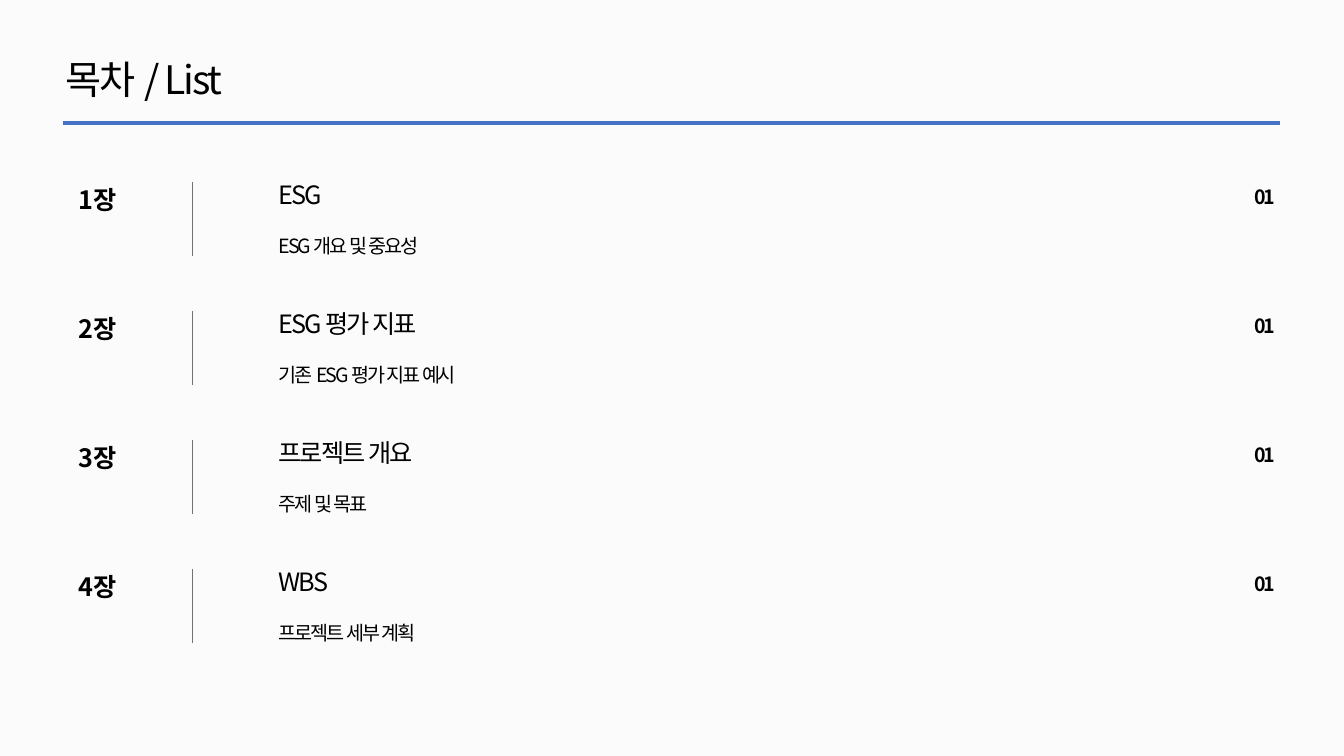
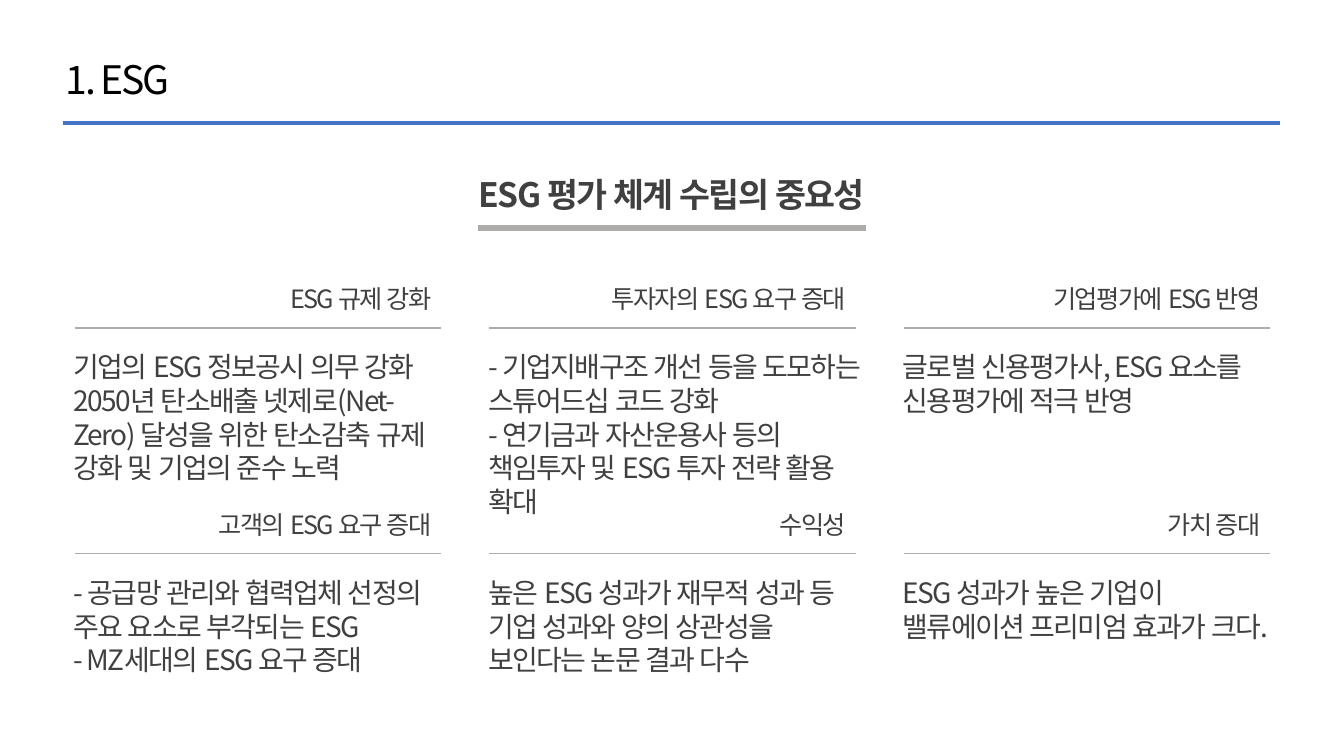
"""Build the contents slide and the ESG importance slide."""
from dataclasses import dataclass

from lxml.etree import SubElement
from pptx import Presentation
from pptx.dml.color import RGBColor
from pptx.enum.shapes import MSO_CONNECTOR
from pptx.enum.text import MSO_ANCHOR, MSO_AUTO_SIZE, PP_ALIGN
from pptx.oxml.ns import qn
from pptx.presentation import Presentation as Deck
from pptx.slide import Slide
from pptx.text.text import TextFrame
from pptx.util import Cm, Pt

FONT = "Noto Sans CJK KR"
COLORS = {
    "paper": "FBFBFB",
    "white": "FFFFFF",
    "black": "000000",
    "dark": "404040",
    "accent": "4472C4",
    "divider": "767171",
    "rule": "AFABAB",
}
LINE_HEIGHT = 1.2


@dataclass(frozen=True)
class TextStyle:
    size: int
    color: str = "black"
    bold: bool = False
    align: PP_ALIGN = PP_ALIGN.LEFT
    spacing: float = -1.5


@dataclass(frozen=True)
class Box:
    left: float
    top: float
    width: float
    height: float


@dataclass(frozen=True)
class Chapter:
    number: str
    name: str
    summary: str
    page: str = "01"


@dataclass(frozen=True)
class Reason:
    heading: str
    body: str
    body_width: float = 9.75


TITLE = TextStyle(28)
CHAPTER_NUMBER = TextStyle(18, bold=True)
CHAPTER_NAME = TextStyle(18)
CHAPTER_SUMMARY = TextStyle(14)
PAGE_NUMBER = TextStyle(14, bold=True, align=PP_ALIGN.RIGHT)
SECTION = TextStyle(24, "dark", True, PP_ALIGN.CENTER, -1.2)
REASON_HEADING = TextStyle(18, "dark", align=PP_ALIGN.RIGHT, spacing=-1.2)
REASON_BODY = TextStyle(20, "dark", spacing=-1.2)

CHAPTERS = [
    Chapter("1장", "ESG", "ESG 개요 및 중요성"),
    Chapter("2장", "ESG 평가 지표", "기존 ESG 평가 지표 예시"),
    Chapter("3장", "프로젝트 개요", "주제 및 목표"),
    Chapter("4장", "WBS", "프로젝트 세부 계획"),
]
CHAPTER_TOP, CHAPTER_PITCH = 4.39, 3.25

REASONS = [
    Reason(
        "ESG 규제 강화",
        "기업의 ESG 정보공시 의무 강화\n"
        "2050년 탄소배출 넷제로(Net-Zero) 달성을 위한 탄소감축 규제 강화 및 기업의 준수 노력",
    ),
    Reason(
        "투자자의 ESG 요구 증대",
        "- 기업지배구조 개선 등을 도모하는\n스튜어드십 코드 강화\n"
        "- 연기금과 자산운용사 등의 책임투자 및 ESG 투자 전략 활용 확대",
        10.44,
    ),
    Reason("기업평가에 ESG 반영", "글로벌 신용평가사, ESG 요소를\n신용평가에 적극 반영"),
    Reason(
        "고객의 ESG 요구 증대",
        "- 공급망 관리와 협력업체 선정의 주요 요소로 부각되는 ESG\n- MZ세대의 ESG 요구 증대",
    ),
    Reason("수익성", "높은 ESG 성과가 재무적 성과 등\n기업 성과와 양의 상관성을 보인다는 논문 결과 다수"),
    Reason("가치 증대", "ESG 성과가 높은 기업이\n밸류에이션 프리미엄 효과가 크다."),
]
REASON_COLUMNS = 3
REASON_LEFT, REASON_PITCH_X, REASON_WIDTH = 1.88, 10.45, 9.23
REASON_TOP, REASON_PITCH_Y = 8.26, 5.69


def write(frame: TextFrame, text: str, style: TextStyle) -> None:
    frame.text = text
    frame.word_wrap = True
    frame.auto_size = MSO_AUTO_SIZE.NONE
    frame.vertical_anchor = MSO_ANCHOR.TOP
    for paragraph in frame.paragraphs:
        paragraph.alignment = style.align
        paragraph.line_spacing = Pt(style.size * LINE_HEIGHT)
        for run in paragraph.runs:
            run.font.size = Pt(style.size)
            run.font.bold = style.bold
            run.font.color.rgb = RGBColor.from_string(COLORS[style.color])
            run.font.name = FONT
            properties = run._r.get_or_add_rPr()
            properties.set("lang", "ko-KR")
            properties.set("spc", str(round(style.spacing * 100)))
            SubElement(properties, qn("a:ea")).set("typeface", FONT)


def add_text(slide: Slide, box: Box, text: str, style: TextStyle) -> None:
    label = slide.shapes.add_textbox(
        Cm(box.left), Cm(box.top), Cm(box.width), Cm(box.height)
    )
    write(label.text_frame, text, style)


def add_line(
    slide: Slide, left: float, top: float, right: float, bottom: float,
    color: str, weight: float,
) -> None:
    rule = slide.shapes.add_connector(
        MSO_CONNECTOR.STRAIGHT, Cm(left), Cm(top), Cm(right), Cm(bottom)
    )
    rule.line.color.rgb = RGBColor.from_string(COLORS[color])
    rule.line.width = Pt(weight)
    SubElement(rule._element.spPr, qn("a:effectLst"))


def add_titled_slide(deck: Deck, title: str, background: str) -> Slide:
    slide = deck.slides.add_slide(deck.slide_layouts.get_by_name("Title Only"))
    slide.background.fill.solid()
    slide.background.fill.fore_color.rgb = RGBColor.from_string(COLORS[background])
    heading = slide.shapes.title
    heading.left, heading.top = Cm(1.4), Cm(1.27)
    heading.width, heading.height = Cm(24.87), Cm(1.45)
    write(heading.text_frame, title, TITLE)
    add_line(slide, 1.6, 3.1, 32.26, 3.1, "accent", 3)
    return slide


def add_chapter(slide: Slide, chapter: Chapter, top: float) -> None:
    add_text(slide, Box(1.73, top + 0.14, 9.09, 1.02), chapter.number, CHAPTER_NUMBER)
    add_text(slide, Box(6.78, top, 9.09, 1.02), chapter.name, CHAPTER_NAME)
    add_text(slide, Box(6.78, top + 1.38, 22, 0.86), chapter.summary, CHAPTER_SUMMARY)
    add_text(slide, Box(28.45, top + 0.14, 3.94, 0.86), chapter.page, PAGE_NUMBER)
    add_line(slide, 4.85, top + 0.2, 4.85, top + 2.06, "divider", 0.5)


def add_reason(slide: Slide, reason: Reason, left: float, top: float) -> None:
    add_line(slide, left, top, left + REASON_WIDTH, top, "rule", 1.25)
    add_text(slide, Box(left + 1.26, top - 1.24, 7.98, 1.02), reason.heading, REASON_HEADING)
    add_text(slide, Box(left - 0.28, top + 0.43, reason.body_width, 3.68), reason.body, REASON_BODY)


def build_contents(deck: Deck) -> None:
    slide = add_titled_slide(deck, "목차 / List", "paper")
    for index, chapter in enumerate(CHAPTERS):
        add_chapter(slide, chapter, CHAPTER_TOP + index * CHAPTER_PITCH)


def build_importance(deck: Deck) -> None:
    slide = add_titled_slide(deck, "1. ESG", "white")
    for index, reason in enumerate(REASONS):
        row, column = divmod(index, REASON_COLUMNS)
        add_reason(
            slide, reason,
            REASON_LEFT + column * REASON_PITCH_X,
            REASON_TOP + row * REASON_PITCH_Y,
        )
    add_text(slide, Box(9.63, 4.27, 14.6, 1.27), "ESG 평가 체계 수립의 중요성", SECTION)
    add_line(slide, 12.04, 5.74, 21.82, 5.74, "rule", 4.5)


def main() -> None:
    deck = Presentation()
    deck.slide_width, deck.slide_height = Cm(33.87), Cm(19.05)
    build_contents(deck)
    build_importance(deck)
    deck.save("out.pptx")


if __name__ == "__main__":
    main()
